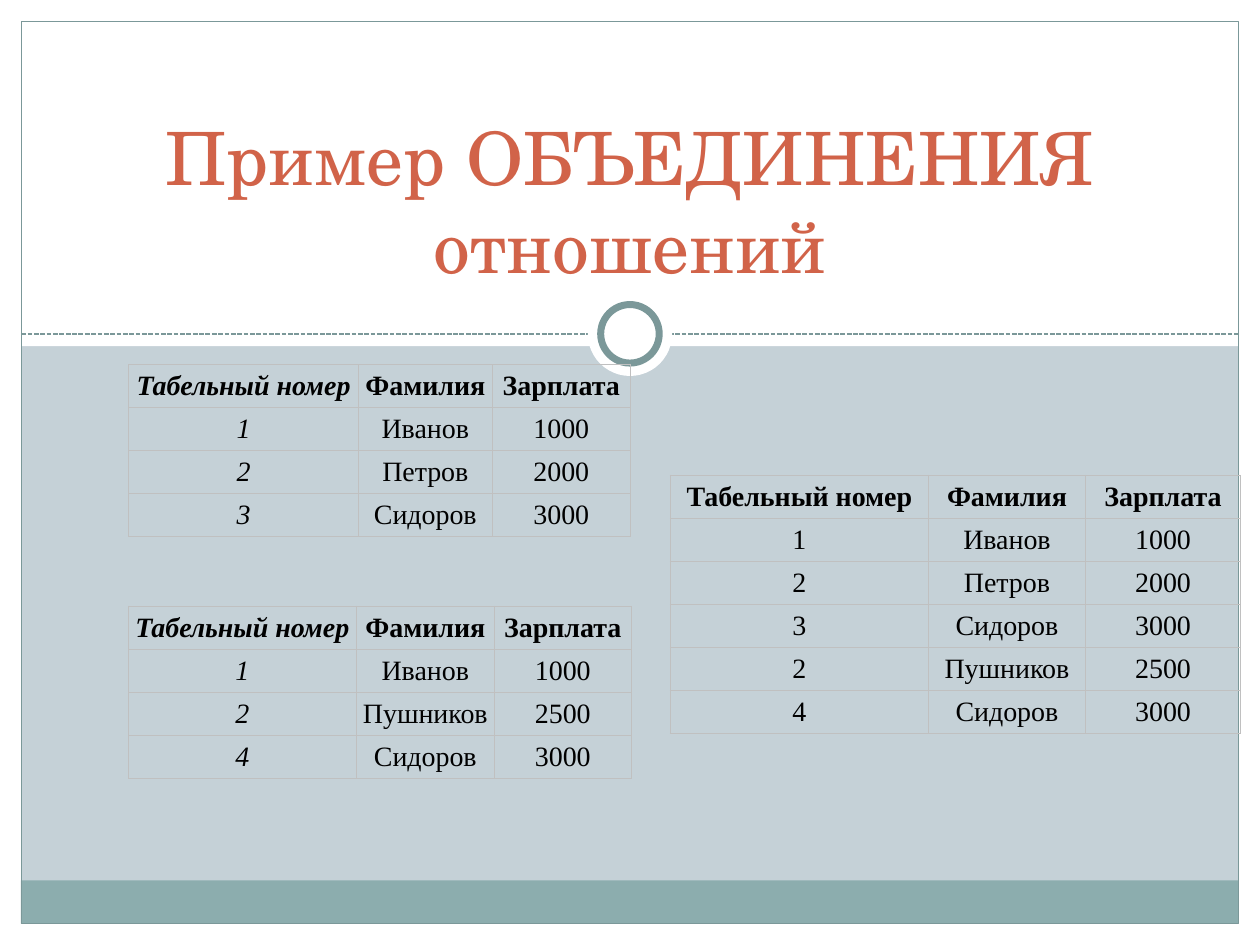
from dataclasses import dataclass
from typing import Optional

from lxml.etree import SubElement
from pptx import Presentation
from pptx.dml.color import RGBColor
from pptx.enum.dml import MSO_LINE
from pptx.enum.shapes import MSO_CONNECTOR, MSO_SHAPE
from pptx.enum.text import MSO_ANCHOR, MSO_AUTO_SIZE, PP_ALIGN
from pptx.oxml.ns import qn
from pptx.slide import Slide
from pptx.util import Cm, Pt

WHITE = "FFFFFF"
TEAL = "7B9899"
HEADER = ("Табельный номер", "Фамилия", "Зарплата")
ROW_HEIGHT = 0.84


@dataclass
class Decoration:
    preset: MSO_SHAPE
    left: float
    top: float
    width: float
    height: float
    fill: Optional[str] = None
    line_width: float = 0


@dataclass
class Relation:
    left: float
    top: float
    column_widths: tuple[float, ...]
    rows: tuple[tuple[str, ...], ...]
    italic_key: bool


DECORATIONS = (
    Decoration(MSO_SHAPE.RECTANGLE, 0, 18.62, 25.4, 0.43, WHITE),
    Decoration(MSO_SHAPE.RECTANGLE, 24.97, 0, 0.43, 19.05, WHITE),
    Decoration(MSO_SHAPE.RECTANGLE, 0, 0, 0.43, 19.05, WHITE),
    Decoration(MSO_SHAPE.RECTANGLE, 0, 0, 25.4, 6.98, WHITE),
    Decoration(MSO_SHAPE.RECTANGLE, 0.42, 17.75, 24.54, 0.87, "8CADAE"),
)
FRAME = Decoration(MSO_SHAPE.RECTANGLE, 0.43, 0.43, 24.54, 18.19, None, 0.75)
RING = (
    Decoration(MSO_SHAPE.OVAL, 11.85, 5.88, 1.7, 1.7, WHITE),
    Decoration(MSO_SHAPE.OVAL, 12.11, 6.14, 1.18, 1.18, WHITE, 4),
)

IVANOV = ("1", "Иванов", "1000")
PETROV = ("2", "Петров", "2000")
SIDOROV = ("3", "Сидоров", "3000")
PUSHNIKOV = ("2", "Пушников", "2500")
SECOND_SIDOROV = ("4", "Сидоров", "3000")

RELATIONS = (
    Relation(2.59, 7.35, (4.64, 2.69, 2.79), (IVANOV, PETROV, SIDOROV), True),
    Relation(2.59, 12.22, (4.59, 2.79, 2.75), (IVANOV, PUSHNIKOV, SECOND_SIDOROV), True),
    Relation(13.51, 9.58, (5.21, 3.16, 3.13),
             (IVANOV, PETROV, SIDOROV, PUSHNIKOV, SECOND_SIDOROV), False),
)


def color(value: str) -> RGBColor:
    return RGBColor.from_string(value)


def draw_decoration(slide: Slide, item: Decoration) -> None:
    shape = slide.shapes.add_shape(
        item.preset, Cm(item.left), Cm(item.top), Cm(item.width), Cm(item.height))
    shape.shadow.inherit = False
    if item.fill:
        shape.fill.solid()
        shape.fill.fore_color.rgb = color(item.fill)
    else:
        shape.fill.background()
    if item.line_width:
        shape.line.color.rgb = color(TEAL)
        shape.line.width = Pt(item.line_width)
    else:
        shape.line.fill.background()


def draw_divider(slide: Slide) -> None:
    connector = slide.shapes.add_connector(
        MSO_CONNECTOR.STRAIGHT, Cm(0.43), Cm(6.73), Cm(24.97), Cm(6.73))
    connector.line.color.rgb = color(TEAL)
    connector.line.width = Pt(0.91)
    connector.line.dash_style = MSO_LINE.SQUARE_DOT
    properties = connector._element.spPr
    SubElement(properties, qn("a:effectLst"))


def write_title(slide: Slide) -> None:
    title = slide.shapes.title
    slide.shapes._spTree.append(title._element)
    title.left, title.top, title.width, title.height = Cm(1.9), Cm(1.07), Cm(21.6), Cm(4.87)
    frame = title.text_frame
    frame.text = "Пример ОБЪЕДИНЕНИЯ отношений"
    frame.word_wrap = True
    frame.auto_size = MSO_AUTO_SIZE.NONE
    frame.vertical_anchor = MSO_ANCHOR.BOTTOM
    paragraph = frame.paragraphs[0]
    paragraph.alignment = PP_ALIGN.CENTER
    paragraph.font.name = "TeX Gyre Schola"
    paragraph.font.size = Pt(42)
    paragraph.font.color.rgb = color("D16349")


def add_borders(cell) -> None:
    properties = cell._tc.get_or_add_tcPr()
    for side in ("lnL", "lnR", "lnT", "lnB"):
        border = SubElement(properties, qn(f"a:{side}"), w=str(Pt(0.45)))
        fill = SubElement(border, qn("a:solidFill"))
        SubElement(fill, qn("a:srgbClr"), val="C0C0C0")


def write_cell(cell, text: str, bold: bool, italic: bool) -> None:
    add_borders(cell)
    cell.fill.background()
    cell.margin_left = cell.margin_right = Cm(0.08)
    cell.margin_top = cell.margin_bottom = Cm(0.12)
    cell.text = text
    paragraph = cell.text_frame.paragraphs[0]
    paragraph.alignment = PP_ALIGN.CENTER
    font = paragraph.font
    font.name = "Times New Roman"
    font.size = Pt(16)
    font.color.rgb = color("000000")
    font.bold = bold
    font.italic = italic


def draw_relation(slide: Slide, relation: Relation) -> None:
    rows = (HEADER, *relation.rows)
    table = slide.shapes.add_table(
        len(rows), len(HEADER), Cm(relation.left), Cm(relation.top),
        Cm(sum(relation.column_widths)), Cm(ROW_HEIGHT * len(rows))).table
    table.first_row = False
    table.horz_banding = False
    for column, width in zip(table.columns, relation.column_widths):
        column.width = Cm(width)
    for row_index, values in enumerate(rows):
        table.rows[row_index].height = Cm(ROW_HEIGHT)
        for column_index, text in enumerate(values):
            write_cell(table.cell(row_index, column_index), text,
                       row_index == 0, relation.italic_key and column_index == 0)


def main() -> None:
    presentation = Presentation()
    presentation.slide_width = Cm(25.4)
    presentation.slide_height = Cm(19.05)
    slide = presentation.slides.add_slide(presentation.slide_layouts.get_by_name("Title Only"))
    slide.background.fill.solid()
    slide.background.fill.fore_color.rgb = color("C5D1D7")
    for item in DECORATIONS:
        draw_decoration(slide, item)
    draw_divider(slide)
    for item in (FRAME, *RING):
        draw_decoration(slide, item)
    write_title(slide)
    for relation in RELATIONS:
        draw_relation(slide, relation)
    presentation.save("out.pptx")


if __name__ == "__main__":
    main()
